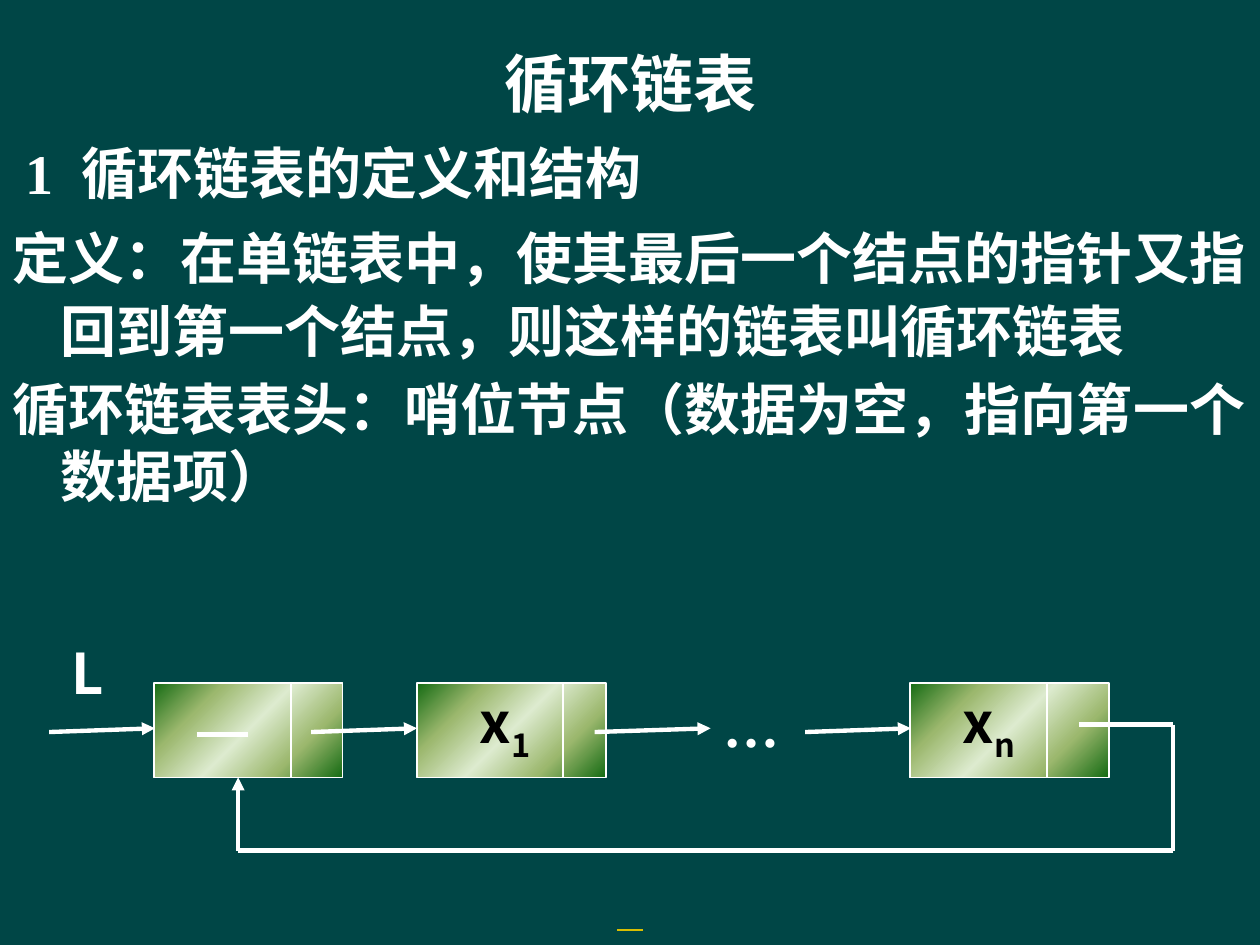
from lxml.etree import SubElement
from pptx import Presentation
from pptx.dml.color import RGBColor
from pptx.enum.shapes import MSO_CONNECTOR, MSO_SHAPE
from pptx.enum.text import MSO_ANCHOR, MSO_AUTO_SIZE, PP_ALIGN
from pptx.oxml.ns import qn
from pptx.util import Inches, Pt

TEAL = RGBColor(0x00, 0x46, 0x46)
WHITE = RGBColor(0xFF, 0xFF, 0xFF)
BLACK = RGBColor(0x00, 0x00, 0x00)
GOLD = RGBColor(0xD9, 0xBE, 0x02)
DARK_GREEN = RGBColor(0x15, 0x6B, 0x13)
MID_GREEN = RGBColor(0x9C, 0xB8, 0x6E)
PALE_GREEN = RGBColor(0xDD, 0xEB, 0xCF)
NODE_STOPS = [DARK_GREEN, MID_GREEN, PALE_GREEN, MID_GREEN, DARK_GREEN]

SANS = "Noto Sans CJK SC"
SERIF = "Times New Roman"

NODE_TOP, NODE_HEIGHT = 5.42, 0.75


class ListSlide:
    def __init__(self, prs):
        self.s = prs.slides.add_slide(prs.slide_layouts[1])
        self.s.background.fill.solid()
        self.s.background.fill.fore_color.rgb = TEAL

    def place(self, sp, left, top, width, height):
        sp.left, sp.top = Inches(left), Inches(top)
        sp.width, sp.height = Inches(width), Inches(height)
        tf = sp.text_frame
        tf.word_wrap = True
        tf.auto_size = MSO_AUTO_SIZE.NONE
        tf.vertical_anchor = MSO_ANCHOR.TOP
        return tf

    def run(self, p, text, size, color=WHITE, font=SANS):
        r = p.add_run()
        r.text = text
        r.font.size, r.font.bold = Pt(size), True
        r.font.color.rgb = color
        r.font.name = font
        SubElement(r.font._element, qn("a:ea")).set("typeface", font)
        return r

    def title(self, text):
        tf = self.place(self.s.shapes.title, 0, 0.29, 10, 0.75)
        p = tf.paragraphs[0]
        p.alignment, p.line_spacing = PP_ALIGN.CENTER, Pt(44)
        self.run(p, text, 36)

    def body(self, heading, items):
        tf = self.place(self.s.placeholders[1], 0, 1, 10, 3.2)
        number, text = heading
        p = self.body_paragraph(tf.paragraphs[0], 42, 0.1, 0, 0)
        r = self.run(p, number + " ", 32, font=SERIF)
        r.font._element.set("spc", "400")
        self.run(p, text, 32)
        for text, pitch in items:
            p = self.body_paragraph(tf.add_paragraph(), pitch, 0.38, -0.38, 6.5)
            self.run(p, text, 32)

    def body_paragraph(self, p, pitch, margin, indent, before):
        pPr = p._p.get_or_add_pPr()
        pPr.set("marL", str(Inches(margin)))
        pPr.set("indent", str(Inches(indent)))
        SubElement(pPr, qn("a:buNone"))
        p.alignment = PP_ALIGN.LEFT
        p.line_spacing, p.space_before = Pt(pitch), Pt(before)
        return p

    def label(self, text, left, top, width, pitch=40, subscript="",
              color=WHITE, font=SANS, align=PP_ALIGN.LEFT):
        sp = self.s.shapes.add_textbox(0, 0, 0, 0)
        p = self.place(sp, left, top, width, 0.63).paragraphs[0]
        p.alignment, p.line_spacing = align, Pt(pitch)
        self.run(p, text, 32, color, font)
        if subscript:
            r = self.run(p, subscript, 32, color, font)
            r.font._element.set("baseline", "-25000")

    def line(self, start, end, weight=2.5, arrow=False, color=WHITE):
        points = [Inches(v) for v in (*start, *end)]
        c = self.s.shapes.add_connector(MSO_CONNECTOR.STRAIGHT, *points)
        c.line.color.rgb, c.line.width = color, Pt(weight)
        if arrow:
            SubElement(c.line._get_or_add_ln(), qn("a:tailEnd")).set("type", "triangle")
        SubElement(c._element.spPr, qn("a:effectLst"))

    def node(self, left, width, divider):
        """Draw a list node: a data cell and a pointer cell."""
        sp = self.s.shapes.add_shape(
            MSO_SHAPE.RECTANGLE, Inches(left), Inches(NODE_TOP),
            Inches(width), Inches(NODE_HEIGHT))
        sp.shadow.inherit = False
        sp.line.color.rgb, sp.line.width = WHITE, Pt(1)
        sp.fill.gradient()
        sp.fill.gradient_angle = 315
        stops = sp._element.spPr.find(".//" + qn("a:gsLst"))
        for old in list(stops):
            stops.remove(old)
        for i, color in enumerate(NODE_STOPS):
            gs = SubElement(stops, qn("a:gs"), pos=str(i * 25000))
            SubElement(gs, qn("a:srgbClr"), val=str(color))
        self.line((divider, NODE_TOP), (divider, NODE_TOP + NODE_HEIGHT), 1)


def main():
    prs = Presentation()
    prs.slide_width, prs.slide_height = Inches(10), Inches(7.5)
    slide = ListSlide(prs)

    slide.title("循环链表")
    slide.body(("1", "循环链表的定义和结构"), [
        ("定义：在单链表中，使其最后一个结点的指针又指回到第一个结点，则这样的链表叫循环链表", 42),
        ("循环链表表头：哨位节点（数据为空，指向第一个数据项）", 38),
    ])

    for left, width, divider in [(1.22, 1.5, 2.31), (3.31, 1.5, 4.47), (7.22, 1.58, 8.31)]:
        slide.node(left, width, divider)
    for subscript, left in [("1", 3.47), ("n", 7.31)]:
        slide.label("x", left, 5.5, 1.08, 37, subscript, BLACK, align=PP_ALIGN.CENTER)
    slide.label("L", 0.47, 5, 0.67)
    slide.label("…", 5.64, 5.42, 0.75, font=SERIF)

    for start, end in [(0.39, 1.23), (2.47, 3.31), (4.72, 5.64), (6.39, 7.23)]:
        slide.line((start, 5.81), (end, 5.78), arrow=True)
    slide.line((1.56, 5.83), (1.97, 5.83))

    loop = [(8.56, 5.75), (9.31, 5.75), (9.31, 6.75), (1.89, 6.75), (1.89, 6.17)]
    for start, end in zip(loop, loop[1:]):
        slide.line(start, end, arrow=end == loop[-1])

    slide.line((4.9, 7.38), (5.1, 7.38), 1.25, color=GOLD)
    prs.save("out.pptx")


if __name__ == "__main__":
    main()
